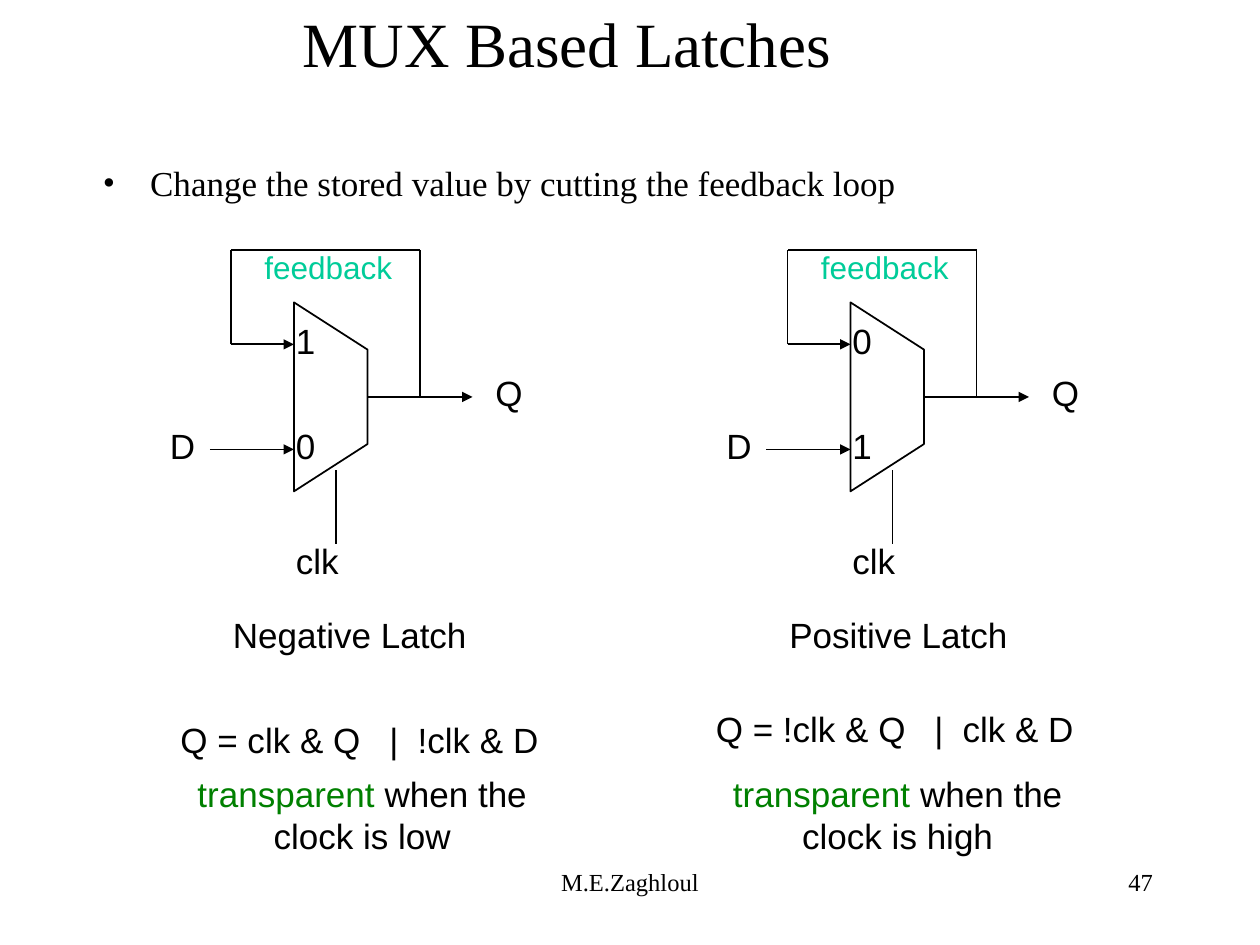
from dataclasses import dataclass

from lxml import etree
from pptx import Presentation, util as u
from pptx.dml.color import RGBColor
from pptx.enum import shapes, text
from pptx.oxml.ns import qn

PX = 7620


@dataclass(frozen=True)
class Theme:
    """Colours, fonts and type sizes of the deck."""
    ink: str = "000000"
    paper: str = "FFFFFF"
    feedback: str = "00CC99"
    accent: str = "008000"
    serif: str = "Times New Roman"
    sans: str = "Arial"
    title: int = 36
    body: int = 20
    label: int = 18
    footer: int = 14
    stroke: int = 1


THEME = Theme()


def px(length):
    """Turn px into EMU."""
    return u.Emu(length * PX)


def assign(target, values):
    """Set each attribute named in a dict of format values."""
    for name, value in values.items():
        setattr(target, name, value)


def add_text(page, box, spans, size=THEME.body, face=THEME.sans, align="LEFT",
             wrap=False, fit="SHAPE_TO_FIT_TEXT", anchor="TOP", inset=(12, 6), tabs=()):
    """Place a one-paragraph text box made of (words, colour) spans."""
    frame = page.shapes.add_textbox(*map(px, box)).text_frame
    side, end = map(px, inset)
    assign(frame, {
        "word_wrap": wrap,
        "auto_size": text.MSO_AUTO_SIZE[fit],
        "vertical_anchor": text.MSO_ANCHOR[anchor],
        "margin_left": side, "margin_right": side,
        "margin_top": end, "margin_bottom": end,
    })
    para = frame.paragraphs[0]
    para.alignment = text.PP_ALIGN[align]
    if tabs:
        stops = etree.SubElement(para._p.get_or_add_pPr(), qn("a:tabLst"))
        for stop in tabs:
            etree.SubElement(stops, qn("a:tab"), pos=str(px(stop)), algn="l")
    for words, colour in spans:
        span = para.add_run()
        span.text = words
        assign(span.font, {"name": face, "size": u.Pt(size)})
        span.font.color.rgb = RGBColor.from_string(colour)
    return para


def add_wire(page, start, end, arrow=False):
    """Draw a straight wire, with an arrowhead at its end if asked."""
    wire = page.shapes.add_connector(shapes.MSO_CONNECTOR.STRAIGHT, *map(px, start + end))
    wire.line.width = u.Pt(THEME.stroke)
    wire.line.color.rgb = RGBColor.from_string(THEME.ink)
    if arrow:
        etree.SubElement(wire.line._get_or_add_ln(), qn("a:tailEnd"), type="triangle")
    etree.SubElement(wire._element.spPr, qn("a:effectLst"))


def add_mux(page, left, top, width=70, height=180, slant=45):
    """Outline a multiplexer that narrows towards its output."""
    right, bottom = left + width, top + height
    builder = page.shapes.build_freeform(left, top, scale=PX)
    builder.add_line_segments([(right, top + slant), (right, bottom - slant), (left, bottom)])
    mux = builder.convert_to_shape()
    mux.shadow.inherit = False
    mux.fill.background()
    mux.line.width = u.Pt(THEME.stroke)
    mux.line.color.rgb = RGBColor.from_string(THEME.ink)


def add_latch(page, box, name, upper, lower):
    """Draw one latch circuit with its labels and name."""
    left, top = box

    def at(x, y):
        return left + x, top + y

    add_mux(page, *at(130, 58))
    for start, end, arrow in (
        ((50, 198), (130, 198), True),
        ((70, 98), (130, 98), True),
        ((200, 148), (300, 148), True),
        ((250, 148), (250, 8), False),
        ((70, 98), (70, 8), False),
        ((250, 8), (70, 8), False),
        ((170, 288), (170, 218), False),
    ):
        add_wire(page, at(*start), at(*end), arrow)
    for words, x, y, width in (
        ("Q", 310, 118, 52),
        ("D", 0, 168, 52),
        ("clk", 120, 278, 68),
        (upper, 120, 68, 46),
        (lower, 120, 168, 46),
        (name, 60, 348, 254),
    ):
        add_text(page, (*at(x, y), width, 53), [(words, THEME.ink)])
    add_text(page, (*at(90, 0), 152, 48), [("feedback", THEME.feedback)], THEME.label)


def add_caption(page, box, terms, drop, bar, level):
    """Write the latch equation and when the latch is transparent."""
    left, top, width = box
    add_text(page, (left + 20, top + drop, 372, 53),
             [("\t|\t".join(terms), THEME.ink)], tabs=(bar, bar + 27))
    add_text(page, (left, top + 62, width, 92),
             [("transparent", THEME.accent), (f" when the clock is {level}", THEME.ink)],
             align="CENTER", wrap=True)


def add_heading(page, box):
    """Write the slide title."""
    add_text(page, box, [("MUX Based Latches", THEME.ink)], THEME.title, THEME.serif,
             "CENTER", True, "NONE", "MIDDLE")


def add_bullet(page, box, indent=45):
    """Write the bulleted statement with a hanging indent."""
    para = add_text(page, box,
                    [("Change the stored value by cutting the feedback loop", THEME.ink)],
                    face=THEME.serif, wrap=True, inset=(8, 4))
    layout = para._p.get_or_add_pPr()
    layout.set("marL", str(px(indent)))
    layout.set("indent", str(px(-indent)))
    etree.SubElement(layout, qn("a:buFont"), typeface=THEME.serif)
    etree.SubElement(layout, qn("a:buChar"), char="•")


def add_footer(page, box):
    """Write the author in the middle and the page number at the right."""
    left, top, width, height = box
    for words, x, span_width, align in (
        ("M.E.Zaghloul", 0, 380, "CENTER"),
        ("47", width - 250, 250, "RIGHT"),
    ):
        add_text(page, (left + x, top, span_width, height), [(words, THEME.ink)],
                 THEME.footer, THEME.serif, align, True, "NONE")


def main():
    """Build the deck and save it."""
    deck = Presentation()
    assign(deck, {"slide_width": px(1200), "slide_height": px(900)})
    page = deck.slides.add_slide(deck.slide_layouts[6])
    page.background.fill.solid()
    page.background.fill.fore_color.rgb = RGBColor.from_string(THEME.paper)
    add_heading(page, (50, 0, 980, 80))
    add_bullet(page, (90, 150, 960, 47))
    add_latch(page, (150, 230), "Negative Latch", "1", "0")
    add_latch(page, (680, 230), "Positive Latch", "0", "1")
    add_caption(page, (140, 668, 410), ("Q = clk & Q", "!clk & D"), 10, 199, "low")
    add_caption(page, (650, 668, 410), ("Q = !clk & Q", "clk & D"), 0, 208, "high")
    add_footer(page, (410, 820, 700, 60))
    deck.save("out.pptx")


if __name__ == "__main__":
    main()
